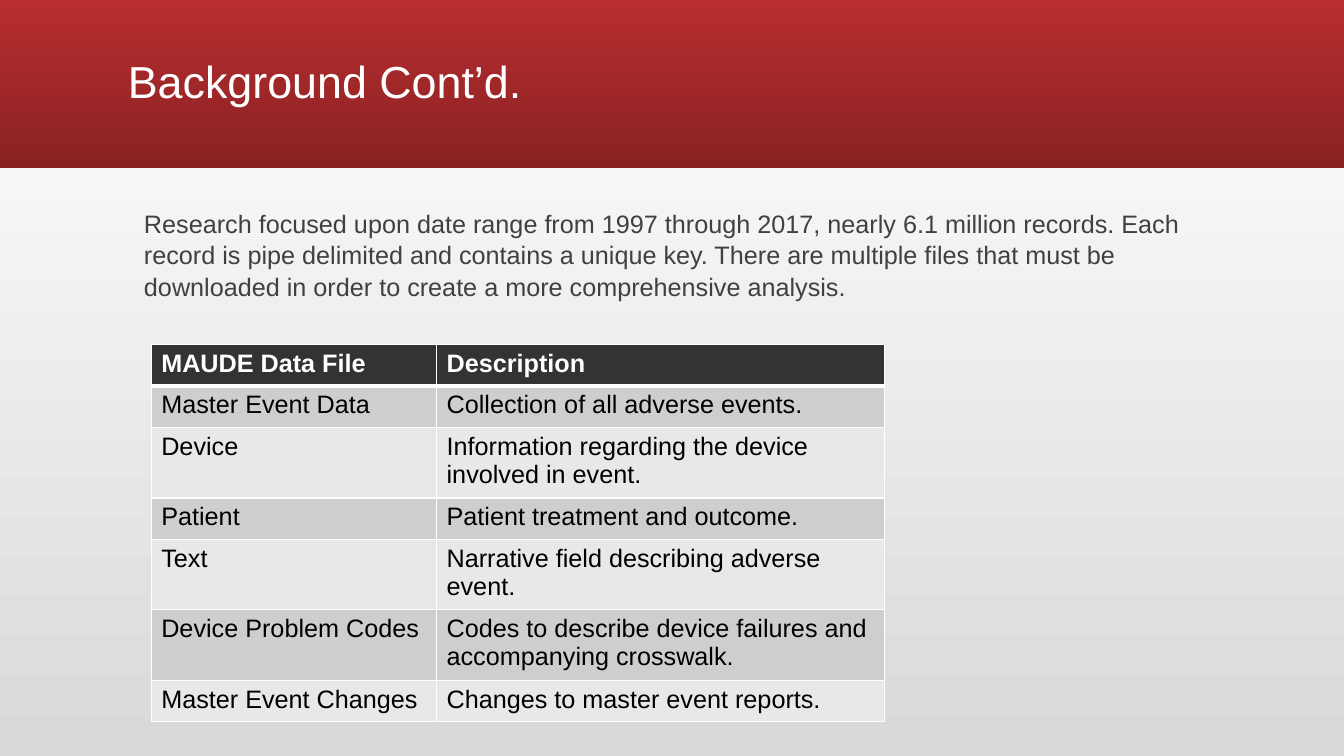
from lxml.etree import SubElement
from pptx import Presentation
from pptx.dml.color import RGBColor
from pptx.enum.shapes import MSO_SHAPE
from pptx.enum.text import MSO_ANCHOR
from pptx.oxml.ns import qn
from pptx.util import Inches, Pt

FONT = "Arial"
WHITE = "FFFFFF"
HEADER_FILL = "333333"
ROW_FILLS = ("CECECE", "E8E8E8")

INTRO = (
    "Research focused upon date range from 1997 through 2017, nearly 6.1 million "
    "records. Each record is pipe delimited and contains a unique key. There are "
    "multiple files that must be downloaded in order to create a more "
    "comprehensive analysis."
)
DATA_FILES = [
    ("MAUDE Data File", "Description"),
    ("Master Event Data", "Collection of all adverse events."),
    ("Device", "Information regarding the device involved in event."),
    ("Patient", "Patient treatment and outcome."),
    ("Text", "Narrative field describing adverse event."),
    ("Device Problem Codes",
     "Codes to describe device failures and accompanying crosswalk."),
    ("Master Event Changes", "Changes to master event reports."),
]
COLUMN_WIDTHS = (2.83, 4.44)
ROW_HEIGHT = 0.41


def rgb(value):
    return RGBColor.from_string(value)


def set_gradient(fill, start, end, angle):
    """Two-stop gradient; the angle runs counter-clockwise."""
    fill.gradient()
    fill.gradient_angle = angle
    for stop, color in zip(fill.gradient_stops, (start, end)):
        stop.color.rgb = rgb(color)


def add_run(paragraph, text, size, color, bold=False):
    run = paragraph.add_run()
    run.text = text
    run.font.name = FONT
    run.font.size = Pt(size)
    run.font.bold = bold
    run.font.color.rgb = rgb(color)


def add_text(slide, box, text, size, color, anchor, line_spacing):
    frame = slide.shapes.add_textbox(*map(Inches, box)).text_frame
    frame.word_wrap = True
    frame.vertical_anchor = anchor
    paragraph = frame.paragraphs[0]
    paragraph.line_spacing = line_spacing
    add_run(paragraph, text, size, color)
    return paragraph


def add_title_band(slide):
    band = slide.shapes.add_shape(
        MSO_SHAPE.RECTANGLE, 0, 0, Inches(13.33), Inches(1.67))
    band.shadow.inherit = False
    band.line.fill.background()
    set_gradient(band.fill, "B82D2F", "8A2223", 270)


def set_borders(cell, bottom_width):
    properties = cell._tc.get_or_add_tcPr()
    widths = {"a:lnL": 1, "a:lnR": 1, "a:lnT": 1, "a:lnB": bottom_width}
    for position, (side, width) in enumerate(widths.items()):
        line = SubElement(properties, qn(side), w=str(Pt(width)))
        color_fill = SubElement(line, qn("a:solidFill"))
        SubElement(color_fill, qn("a:srgbClr"), val=WHITE)
        properties.insert(position, line)  # borders precede the fill


def add_data_file_table(slide):
    table = slide.shapes.add_table(
        len(DATA_FILES), len(COLUMN_WIDTHS), Inches(1.5), Inches(3.42),
        Inches(sum(COLUMN_WIDTHS)), Inches(ROW_HEIGHT * len(DATA_FILES))).table
    for column, width in zip(table.columns, COLUMN_WIDTHS):
        column.width = Inches(width)
    for row_index, texts in enumerate(DATA_FILES):
        table.rows[row_index].height = Inches(ROW_HEIGHT)
        is_header = row_index == 0
        fill = HEADER_FILL if is_header else ROW_FILLS[(row_index - 1) % 2]
        for column_index, text in enumerate(texts):
            cell = table.cell(row_index, column_index)
            cell.fill.solid()
            cell.fill.fore_color.rgb = rgb(fill)
            # The rule under the header is shared with the first data row
            set_borders(cell, 3 if is_header else 1)
            add_run(cell.text_frame.paragraphs[0], text, 18,
                    WHITE if is_header else "000000", is_header)


def main():
    presentation = Presentation()
    presentation.slide_width = Inches(13.33)
    presentation.slide_height = Inches(7.5)
    slide = presentation.slides.add_slide(presentation.slide_layouts[6])

    # Background and title
    set_gradient(slide.background.fill, "D9D9D9", WHITE, 90)
    add_title_band(slide)
    add_text(slide, (1.17, 0.11, 11, 1.45), "Background Cont’d.", 32, WHITE,
             MSO_ANCHOR.MIDDLE, 0.9)

    # Introduction
    intro = add_text(slide, (1.33, 2, 10.5, 5.33), INTRO, 18, "404040",
                     MSO_ANCHOR.TOP, 1.05)
    intro.space_before = Pt(18)

    # Data files
    add_data_file_table(slide)

    presentation.save("out.pptx")


if __name__ == "__main__":
    main()
